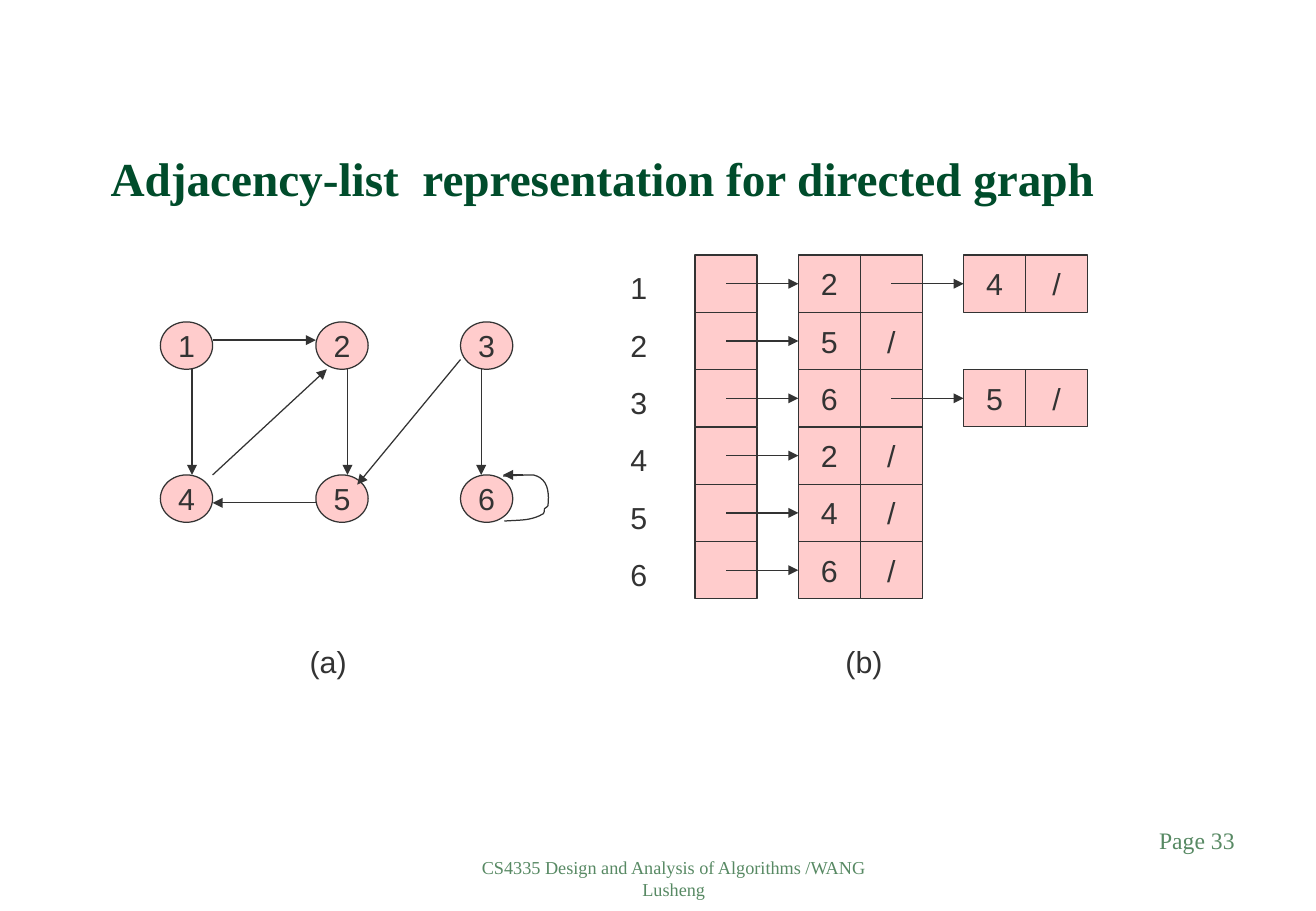
from pptx import Presentation
from pptx import util as u
from pptx.dml.color import RGBColor
from pptx.enum import shapes, text
from pptx.oxml.ns import qn
from lxml import etree

INK, PINK, TITLE_GREEN, FOOTER_GREEN = "333333", "FFCCCC", "004C2B", "578963"
BODY = {"name": "Arial", "size": u.Pt(18)}
CENTER, LEFT, RIGHT = text.PP_ALIGN.CENTER, text.PP_ALIGN.LEFT, text.PP_ALIGN.RIGHT

ADJACENCY = {1: [2, 4], 2: [5], 3: [6, 5], 4: [2], 5: [4], 6: [6]}
CELL_WIDTH, ROW_HEIGHT, LIST_TOP = 0.51, 2.83 / 6, 2.1
HEAD_LEFT, NODE_LEFT, NODE_STEP = 5.72, 6.57, 1.36

VERTEX_LEFTS, VERTEX_TOPS = (1.32, 2.6, 3.79), (2.65, 3.91)
EDGES = [
    ((1.58, 3.04), (1.58, 3.91)),
    ((1.75, 2.8), (2.6, 2.8)),
    ((2.6, 4.14), (1.75, 4.14)),
    ((1.75, 3.91), (2.69, 3.04)),
    ((2.86, 3.04), (2.86, 3.91)),
    ((3.79, 2.96), (2.94, 3.99)),
    ((3.96, 3.04), (3.96, 3.91)),
    ((4.3, 3.91), (4.14, 3.91)),
]
LOOP_START = (4.15, 4.29)
LOOP_CURVES = [
    ((4.28, 4.28), (4.37, 4.29), (4.47, 4.23)),
    ((4.48, 4.22), (4.48, 4.2), (4.48, 4.19)),
    ((4.49, 4.18), (4.51, 4.17), (4.51, 4.16)),
    ((4.52, 4.05), (4.51, 3.94), (4.39, 3.91)),
    ((4.31, 3.91), (4.14, 3.92), (4.14, 3.92)),
]


def color(value):
    return RGBColor.from_string(value)


def lengths(*values):
    return [u.Inches(value) for value in values]


def set_line(line):
    line.color.rgb = color(INK)
    line.width = u.Pt(0.75)


def write(shape, words, font, ink, align=LEFT, **frame_format):
    frame = shape.text_frame
    for name, value in frame_format.items():
        setattr(frame, name, value)
    paragraph = frame.paragraphs[0]
    paragraph.text = words
    paragraph.alignment = align
    for name, value in font.items():
        setattr(paragraph.font, name, value)
    paragraph.font.color.rgb = color(ink)


def add_label(slide, box, words, font=BODY, ink=INK, align=LEFT, wrap=False):
    label = slide.shapes.add_textbox(*lengths(*box))
    write(label, words, font, ink, align, word_wrap=wrap)


def add_box(slide, kind, box, words=""):
    shape = slide.shapes.add_shape(kind, *lengths(*box))
    shape.shadow.inherit = False
    shape.fill.solid()
    shape.fill.fore_color.rgb = color(PINK)
    set_line(shape.line)
    if words:
        write(shape, words, BODY, INK, CENTER, word_wrap=False,
              vertical_anchor=text.MSO_ANCHOR.MIDDLE)
    return shape


def add_arrow(slide, start, end, target=None):
    arrow = slide.shapes.add_connector(
        shapes.MSO_CONNECTOR.STRAIGHT, *lengths(*start, *end))
    set_line(arrow.line)
    etree.SubElement(arrow.line._get_or_add_ln(), qn("a:tailEnd"), type="triangle")
    etree.SubElement(arrow._element.spPr, qn("a:effectLst"))
    if target is not None:
        arrow.end_connect(target, 1)


def curve_points(start, first, second, end, steps=10):
    for step in range(1, steps + 1):
        t = step / steps
        yield lengths(*(
            (1 - t) ** 3 * a + 3 * (1 - t) ** 2 * t * b + 3 * (1 - t) * t ** 2 * c + t ** 3 * d
            for a, b, c, d in zip(start, first, second, end)))


def add_self_loop(slide):
    builder = slide.shapes.build_freeform(*lengths(*LOOP_START))
    start = LOOP_START
    for curve in LOOP_CURVES:
        builder.add_line_segments(curve_points(start, *curve), close=False)
        start = curve[-1]
    loop = builder.convert_to_shape()
    loop.shadow.inherit = False
    loop.fill.background()
    set_line(loop.line)


def add_graph(slide):
    for index in range(6):
        row, column = divmod(index, 3)
        box = (VERTEX_LEFTS[column], VERTEX_TOPS[row], 0.43, 0.39)
        add_box(slide, shapes.MSO_SHAPE.OVAL, box, str(index + 1))
    add_self_loop(slide)
    for start, end in EDGES:
        add_arrow(slide, start, end)


def add_adjacency_list(slide):
    for row, (vertex, neighbours) in enumerate(ADJACENCY.items()):
        top = LIST_TOP + row * ROW_HEIGHT
        middle = top + ROW_HEIGHT / 2

        def add_cell(left, words=""):
            box = (left, top, CELL_WIDTH, ROW_HEIGHT)
            return add_box(slide, shapes.MSO_SHAPE.RECTANGLE, box, words)

        add_label(slide, (5.09, top + 0.07, 0.34, 0.4), str(vertex))
        add_cell(HEAD_LEFT)
        pointer_left = HEAD_LEFT
        for position, neighbour in enumerate(neighbours):
            left = NODE_LEFT + position * NODE_STEP
            is_last = position == len(neighbours) - 1
            node = add_cell(left, str(neighbour))
            add_cell(left + CELL_WIDTH, "/" if is_last else "")
            add_arrow(slide, (pointer_left + CELL_WIDTH / 2, middle), (left, middle), node)
            pointer_left = left + CELL_WIDTH


def add_title(slide):
    title = slide.shapes.title
    title.left, title.top, title.width, title.height = lengths(0.81, 0.5, 9.2, 1.25)
    font = {"name": "Times New Roman", "size": u.Pt(28), "bold": True}
    write(title, "Adjacency-list  representation for directed graph", font, TITLE_GREEN,
          vertical_anchor=text.MSO_ANCHOR.BOTTOM, auto_size=text.MSO_AUTO_SIZE.NONE)


def add_footer(slide, box, words, size, align):
    font = {"name": "Times New Roman", "size": u.Pt(size)}
    add_label(slide, box, words, font, FOOTER_GREEN, align, wrap=True)


def main():
    presentation = Presentation()
    presentation.slide_width, presentation.slide_height = lengths(10.83, 7.5)
    slide = presentation.slides.add_slide(presentation.slide_layouts[5])
    add_title(slide)
    add_graph(slide)
    add_adjacency_list(slide)
    for left, caption in ((2.45, "(a)"), (6.86, "(b)")):
        add_label(slide, (left, 5.25, 0.6, 0.4), caption)
    add_footer(slide, (3.83, 7, 3.43, 0.5),
               "CS4335 Design and Analysis of Algorithms /WANG Lusheng", 10.8, CENTER)
    add_footer(slide, (8, 6.75, 2.26, 0.5), "Page 33", 14, RIGHT)
    presentation.save("out.pptx")


if __name__ == "__main__":
    main()
